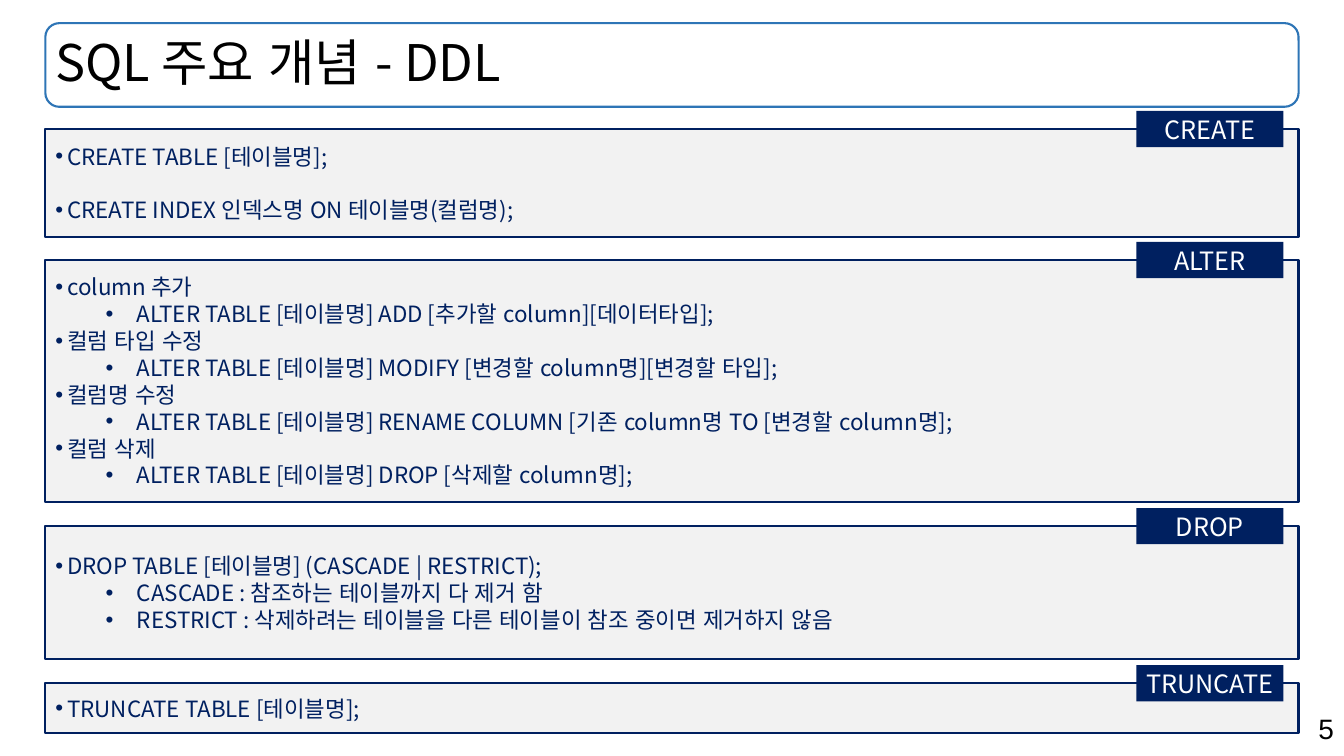
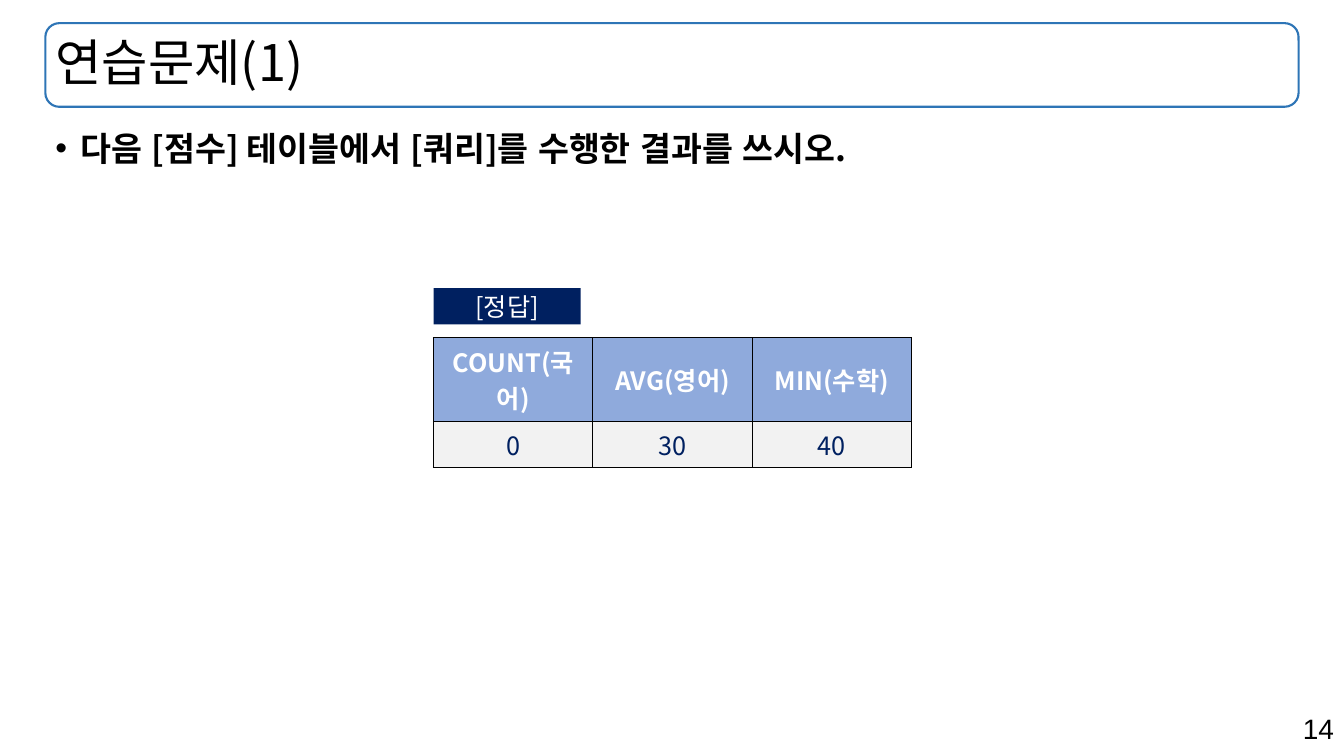
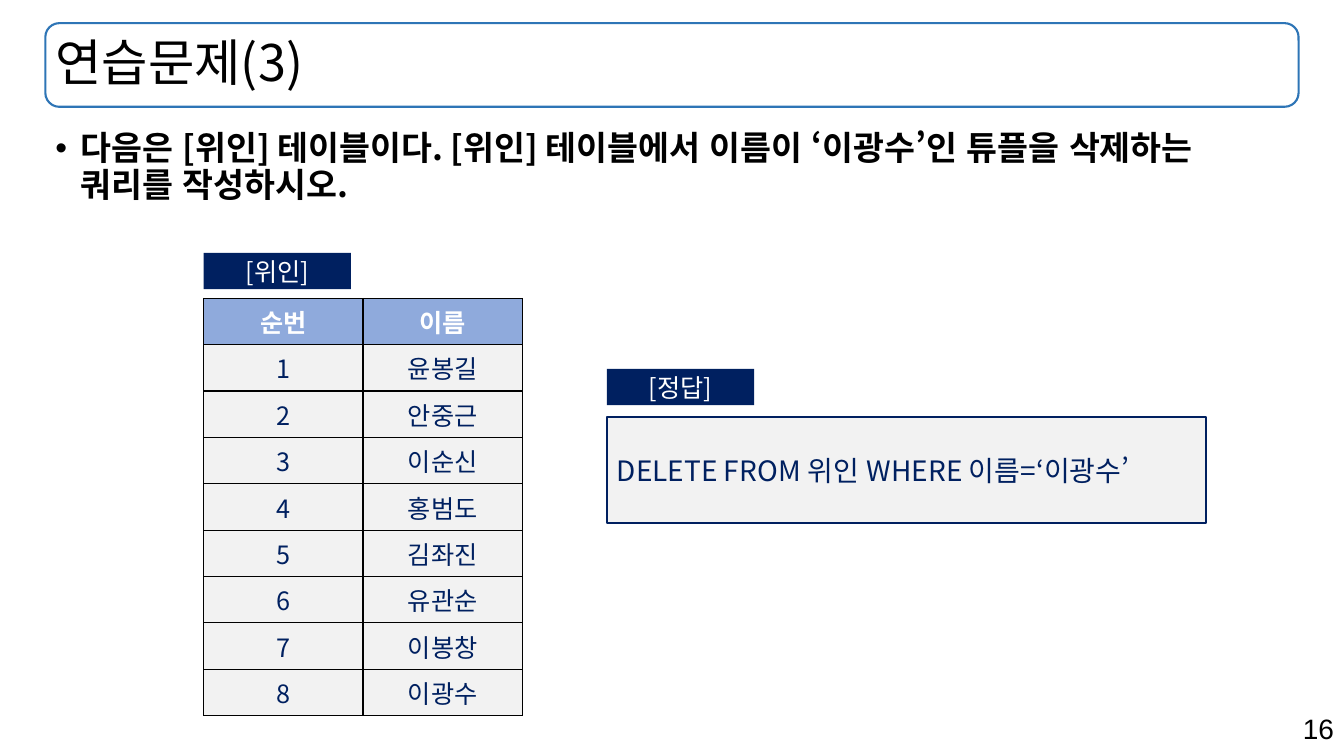
from dataclasses import dataclass

from lxml import etree
from pptx import Presentation
from pptx.dml.color import RGBColor
from pptx.enum import lang, shapes, text
from pptx.oxml import ns
from pptx.util import Inches, Pt


@dataclass(frozen=True)
class Theme:
    font: str = "Noto Sans CJK KR"
    number_font: str = "Arial"
    navy: str = "002060"
    frame: str = "2E75B6"
    header: str = "8FAADC"
    pale: str = "F2F2F2"
    white: str = "FFFFFF"
    black: str = "000000"
    title_size: int = 36
    question_size: int = 24
    answer_size: int = 20
    number_size: int = 20
    label_size: int = 18
    panel_size: int = 16
    heading_spacing: float = 0.9


THEME = Theme()
LEFT, WIDTH = 0.45, 12.43
TITLE_BOX = (LEFT, 0.23, WIDTH, 0.83)
LABEL_WIDTH, LABEL_HEIGHT = 1.46, 0.36
LABEL_INSET = 0.15
COLUMN_WIDTH, ROW_HEIGHT = 1.58, 0.46
TWO_LINE_ROW_HEIGHT = 0.83
BULLET_INDENTS = ((0.12, 0.12), (0.81, 0.31))

DDL_PANELS = [
    ("CREATE", 1.28, 1.07, 19, [
        (0, "CREATE TABLE [테이블명];"),
        (0, "CREATE INDEX 인덱스명 ON 테이블명(컬럼명);"),
    ]),
    ("ALTER", 2.58, 2.4, 0, [
        (0, "column 추가"),
        (1, "ALTER TABLE [테이블명] ADD [추가할 column][데이터타입];"),
        (0, "컬럼 타입 수정"),
        (1, "ALTER TABLE [테이블명] MODIFY [변경할 column명][변경할 타입];"),
        (0, "컬럼명 수정"),
        (1, "ALTER TABLE [테이블명] RENAME COLUMN [기존 column명 TO [변경할 column명];"),
        (0, "컬럼 삭제"),
        (1, "ALTER TABLE [테이블명] DROP [삭제할 column명];"),
    ]),
    ("DROP", 5.22, 1.32, 0, [
        (0, "DROP TABLE [테이블명] (CASCADE | RESTRICT);"),
        (1, "CASCADE : 참조하는 테이블까지 다 제거 함"),
        (1, "RESTRICT : 삭제하려는 테이블을 다른 테이블이 참조 중이면 제거하지 않음"),
    ]),
    ("TRUNCATE", 6.78, 0.49, 0, [(0, "TRUNCATE TABLE [테이블명];")]),
]

HEROES = ["윤봉길", "안중근", "이순신", "홍범도", "김좌진", "유관순", "이봉창", "이광수"]


def inches(box):
    return [Inches(length) for length in box]


def rgb(colour):
    return RGBColor.from_string(colour)


def style(paragraph, size, colour, bold=False, align=text.PP_ALIGN.LEFT,
          spacing=None, font=THEME.font):
    paragraph.alignment = align
    if spacing:
        paragraph.line_spacing = spacing
    for run in paragraph.runs:
        run.font.name = font
        run.font.size = Pt(size)
        run.font.bold = bold
        run.font.color.rgb = rgb(colour)
        run.font.language_id = lang.MSO_LANGUAGE_ID.KOREAN
        east_asian = etree.SubElement(run.font._element, ns.qn("a:ea"))
        east_asian.set("typeface", font)


def add_bullet(paragraph, margin, hang):
    properties = paragraph._p.get_or_add_pPr()
    properties.set("marL", str(Inches(margin)))
    properties.set("indent", str(-Inches(hang)))
    etree.SubElement(properties, ns.qn("a:buFont")).set("typeface", "Arial")
    etree.SubElement(properties, ns.qn("a:buChar")).set("char", "•")


def add_box(slide, box, fill=None, line=None, kind=shapes.MSO_SHAPE.RECTANGLE):
    shape = slide.shapes.add_shape(kind, *inches(box))
    shape.shadow.inherit = False
    if fill:
        shape.fill.solid()
        shape.fill.fore_color.rgb = rgb(fill)
    else:
        shape.fill.background()
    if line:
        shape.line.color.rgb = rgb(line)
        shape.line.width = Pt(1.5)
    else:
        shape.line.fill.background()
    shape.text_frame.vertical_anchor = text.MSO_ANCHOR.MIDDLE
    return shape


def add_label(slide, caption, left, top):
    label = add_box(slide, (left, top, LABEL_WIDTH, LABEL_HEIGHT), THEME.navy)
    label.text_frame.word_wrap = False
    label.text_frame.text = caption
    style(label.text_frame.paragraphs[0], THEME.label_size, THEME.white,
          align=text.PP_ALIGN.CENTER)


def add_panel(slide, box, lines, size, gap=0):
    frame = add_box(slide, box, THEME.pale, THEME.navy).text_frame
    frame.word_wrap = True
    frame.text = "\n".join(line for _, line in lines)
    for index, (paragraph, (level, _)) in enumerate(zip(frame.paragraphs, lines)):
        if level is not None:
            paragraph.level = level
            add_bullet(paragraph, *BULLET_INDENTS[level])
        style(paragraph, size, THEME.navy)
        if index and gap:
            paragraph.space_before = Pt(gap)


def add_ddl_panel(slide, caption, top, height, gap, lines):
    add_panel(slide, (LEFT, top, WIDTH, height), lines, THEME.panel_size, gap)
    add_label(slide, caption, LEFT + WIDTH - LABEL_INSET - LABEL_WIDTH,
              top - LABEL_HEIGHT / 2)


def add_question(slide, question, height):
    frame = slide.shapes.add_textbox(*inches((LEFT, 1.26, WIDTH, height))).text_frame
    frame.word_wrap = True
    frame.text = question
    paragraph = frame.paragraphs[0]
    add_bullet(paragraph, 0.25, 0.25)
    style(paragraph, THEME.question_size, THEME.black, bold=True,
          spacing=THEME.heading_spacing)


def add_cell_borders(cell):
    properties = cell._tc.get_or_add_tcPr()
    for index, side in enumerate(("lnL", "lnR", "lnT", "lnB")):
        border = etree.Element(ns.qn(f"a:{side}"), w=str(Pt(1)))
        fill = etree.SubElement(border, ns.qn("a:solidFill"))
        etree.SubElement(fill, ns.qn("a:srgbClr"), val=THEME.black)
        properties.insert(index, border)


def add_data_table(slide, rows, left, top, header_height=ROW_HEIGHT):
    columns = len(rows[0])
    height = header_height + ROW_HEIGHT * (len(rows) - 1)
    table = slide.shapes.add_table(
        len(rows), columns,
        *inches((left, top, COLUMN_WIDTH * columns, height))).table
    table.horz_banding = False
    for row_index, row in enumerate(rows):
        is_header = row_index == 0
        table.rows[row_index].height = Inches(header_height if is_header else ROW_HEIGHT)
        for column_index, value in enumerate(row):
            cell = table.cell(row_index, column_index)
            cell.text_frame.text = value
            cell.vertical_anchor = text.MSO_ANCHOR.MIDDLE
            cell.fill.solid()
            cell.fill.fore_color.rgb = rgb(THEME.header if is_header else THEME.pale)
            add_cell_borders(cell)
            style(cell.text_frame.paragraphs[0], THEME.label_size,
                  THEME.white if is_header else THEME.navy,
                  bold=is_header, align=text.PP_ALIGN.CENTER)


def add_page(deck, heading, number):
    slide = deck.slides.add_slide(deck.slide_layouts[5])
    add_box(slide, TITLE_BOX, line=THEME.frame,
            kind=shapes.MSO_SHAPE.ROUNDED_RECTANGLE)
    title = slide.shapes.title
    title.left, title.top, title.width, title.height = inches(TITLE_BOX)
    title.text_frame.text = heading
    title.text_frame.auto_size = text.MSO_AUTO_SIZE.NONE
    title.text_frame.vertical_anchor = text.MSO_ANCHOR.MIDDLE
    style(title.text_frame.paragraphs[0], THEME.title_size, THEME.black,
          spacing=THEME.heading_spacing)
    page_number = slide.shapes.add_textbox(*inches((9.43, 7.01, 3.9, 0.44)))
    page_number.text_frame.word_wrap = True
    page_number.text_frame.text = str(number)
    style(page_number.text_frame.paragraphs[0], THEME.number_size, THEME.black,
          align=text.PP_ALIGN.RIGHT, font=THEME.number_font)
    return slide


def main():
    deck = Presentation()
    deck.slide_width, deck.slide_height = inches((13.33, 7.5))

    ddl = add_page(deck, "SQL 주요 개념 - DDL", 5)
    for panel in DDL_PANELS:
        add_ddl_panel(ddl, *panel)

    scores = add_page(deck, "연습문제(1)", 14)
    add_question(scores, "다음 [점수] 테이블에서 [쿼리]를 수행한 결과를 쓰시오.", 0.65)
    add_data_table(scores, [("COUNT(국어)", "AVG(영어)", "MIN(수학)"),
                            ("0", "30", "40")], 4.3, 3.35, TWO_LINE_ROW_HEIGHT)
    add_label(scores, "[정답]", 4.3, 2.86)

    heroes = add_page(deck, "연습문제(3)", 16)
    add_question(heroes, "다음은 [위인] 테이블이다. [위인] 테이블에서 이름이 "
                 "‘이광수’인 튜플을 삭제하는 쿼리를 작성하시오.", 0.83)
    numbered = [(str(order), hero) for order, hero in enumerate(HEROES, 1)]
    add_data_table(heroes, [("순번", "이름"), *numbered], 2.02, 2.96)
    add_label(heroes, "[위인]", 2.02, 2.51)
    add_label(heroes, "[정답]", 6.02, 3.66)
    add_panel(heroes, (6.02, 4.14, 5.94, 1.05),
              [(None, "DELETE FROM 위인 WHERE 이름=‘이광수’")], THEME.answer_size)

    deck.save("out.pptx")


if __name__ == "__main__":
    main()
